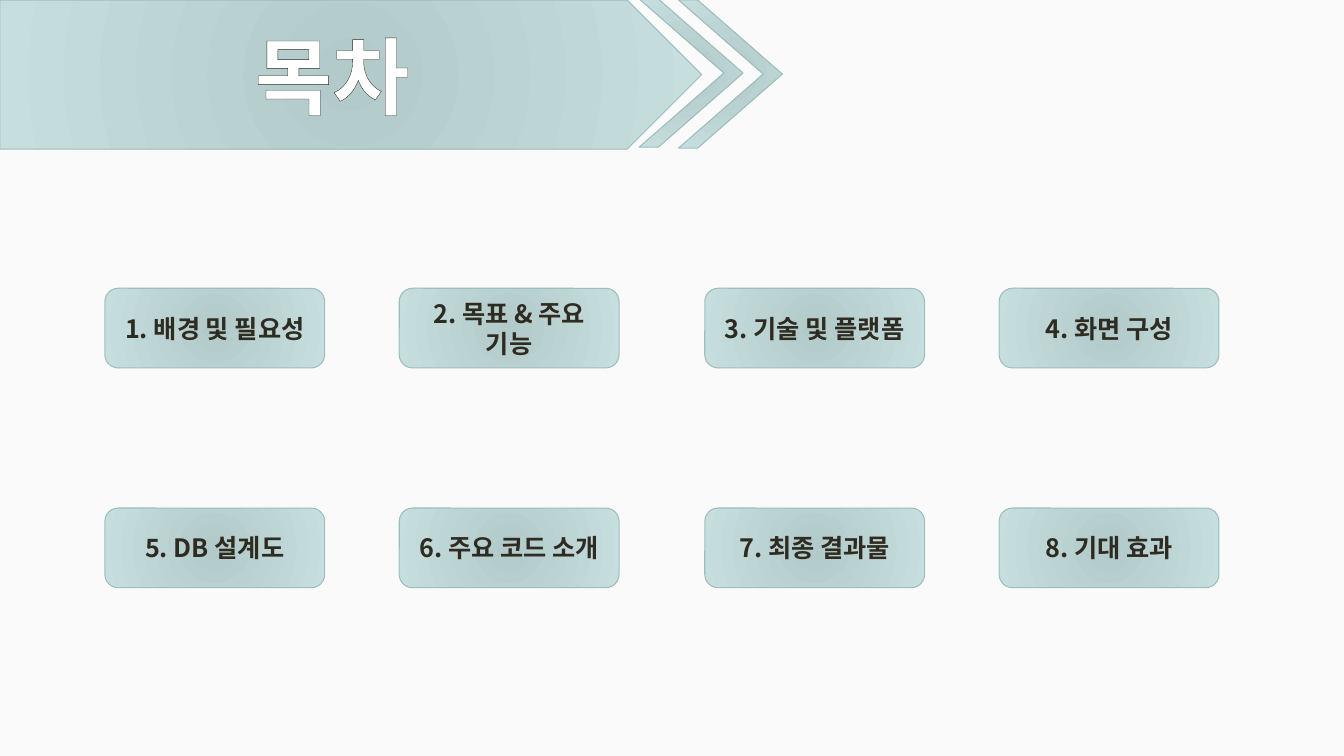
from lxml import etree
from pptx import Presentation
from pptx.dml.color import RGBColor
from pptx.enum.shapes import MSO_SHAPE
from pptx.enum.text import MSO_ANCHOR, PP_ALIGN
from pptx.oxml import parse_xml
from pptx.oxml.ns import nsdecls, qn
from pptx.util import Inches, Pt

CARD = MSO_SHAPE.ROUNDED_RECTANGLE
BANNER = MSO_SHAPE.PENTAGON
CHEVRON = MSO_SHAPE.CHEVRON
MIDDLE = MSO_ANCHOR.MIDDLE
CENTER = PP_ALIGN.CENTER

FONT = "Noto Sans CJK KR"
COLORS = {
    "background": "FAFAFA",
    "core": "B2CBCA",
    "rim": "C6DEDE",
    "border": "9CBEBD",
    "ink": "2E2B21",
    "title": "FFFFFF",
}
TOPICS = [
    "1. 배경 및 필요성",
    "2. 목표 & 주요 기능",
    "3. 기술 및 플랫폼",
    "4. 화면 구성",
    "5. DB 설계도",
    "6. 주요 코드 소개",
    "7. 최종 결과물",
    "8. 기대 효과",
]
COLUMNS = 4
GRID_LEFT, GRID_TOP = 1.04, 2.86
COLUMN_STEP, PAIR_STEP, ROW_STEP = 2.92, 5.95, 2.18
CARD_WIDTH, CARD_HEIGHT = 2.18, 0.79


def add_panel(shapes, preset, left, top, width, height):
    panel = shapes.add_shape(
        preset, Inches(left), Inches(top), Inches(width), Inches(height)
    )
    panel.shadow.inherit = False
    panel.fill.gradient()
    for stop, tone in zip(panel.fill.gradient_stops, ("core", "rim")):
        stop.color.rgb = RGBColor.from_string(COLORS[tone])
    gradient = panel._element.spPr.find(qn("a:gradFill"))
    gradient.remove(gradient.find(qn("a:lin")))
    radial = etree.SubElement(gradient, qn("a:path"), path="circle")
    etree.SubElement(
        radial, qn("a:fillToRect"), l="100000", t="100000", r="100000", b="100000"
    )
    panel.line.color.rgb = RGBColor.from_string(COLORS["border"])
    panel.line.width = Pt(0.75)
    return panel


def write_label(panel, wording, size, color):
    frame = panel.text_frame
    frame.text = wording
    frame.word_wrap = True
    frame.vertical_anchor = MIDDLE
    paragraph = frame.paragraphs[0]
    paragraph.alignment = CENTER
    run = paragraph.runs[0]
    run.font.size = Pt(size)
    run.font.bold = True
    run.font.name = FONT
    run.font.color.rgb = RGBColor.from_string(COLORS[color])
    properties = run._r.get_or_add_rPr()
    etree.SubElement(properties, qn("a:ea"), typeface=FONT)
    return properties


deck = Presentation()
deck.slide_width = Inches(13.33)
deck.slide_height = Inches(7.5)
slide = deck.slides.add_slide(deck.slide_layouts[6])
slide.background.fill.solid()
slide.background.fill.fore_color.rgb = RGBColor.from_string(COLORS["background"])

header = slide.shapes.add_group_shape()
banner = add_panel(header.shapes, BANNER, 0, 0, 6.96, 1.48)
title_properties = write_label(banner, "목차", 60, "title")
title_properties.insert(0, parse_xml(
    f'<a:ln {nsdecls("a")} w="{Pt(1)}"><a:solidFill>'
    f'<a:srgbClr val="{COLORS["ink"]}"/></a:solidFill></a:ln>'
))
for left, top in ((6.34, -0.01), (6.73, 0)):
    arrow = add_panel(header.shapes, CHEVRON, left, top, 1.03, 1.47)
    arrow.adjustments[0] = 0.816

for index, topic in enumerate(TOPICS):
    row, column = divmod(index, COLUMNS)
    pair, side = divmod(column, 2)
    card = add_panel(
        slide.shapes,
        CARD,
        GRID_LEFT + pair * PAIR_STEP + side * COLUMN_STEP,
        GRID_TOP + row * ROW_STEP,
        CARD_WIDTH,
        CARD_HEIGHT,
    )
    write_label(card, topic, 18, "ink")

deck.save("out.pptx")
